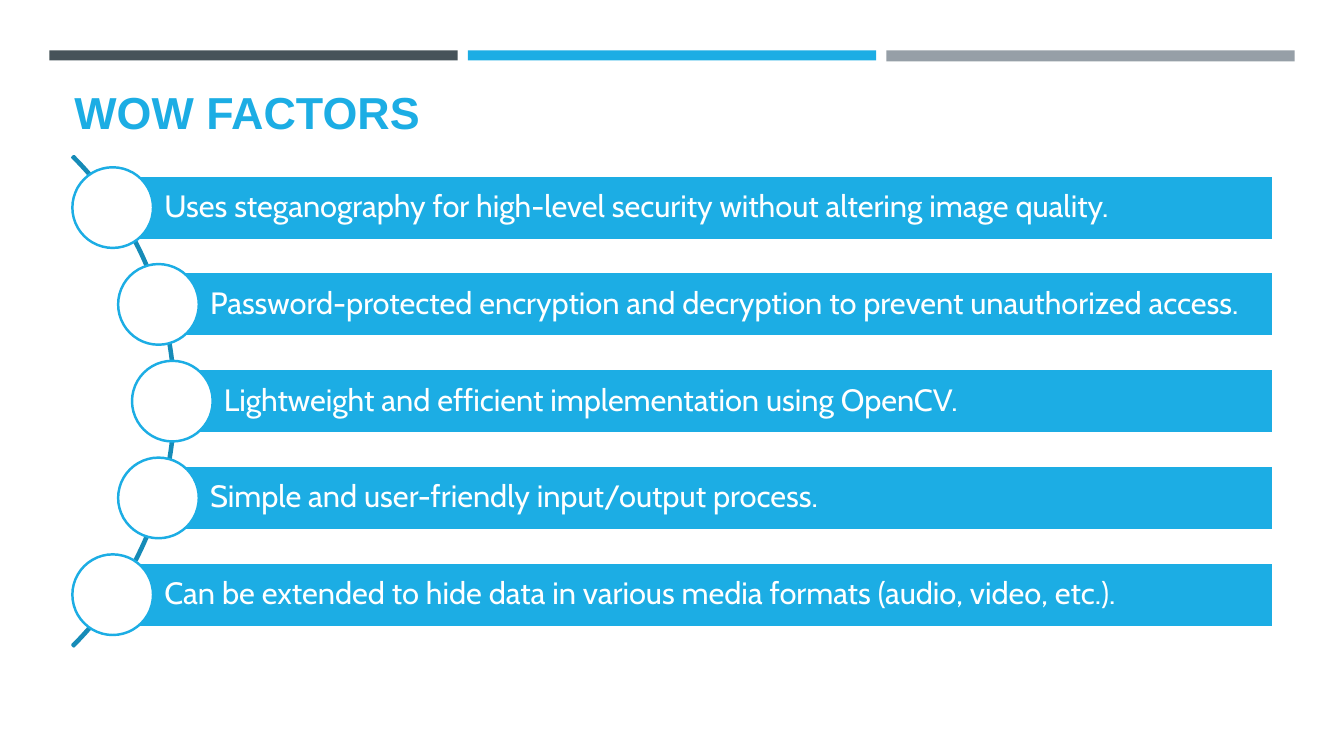
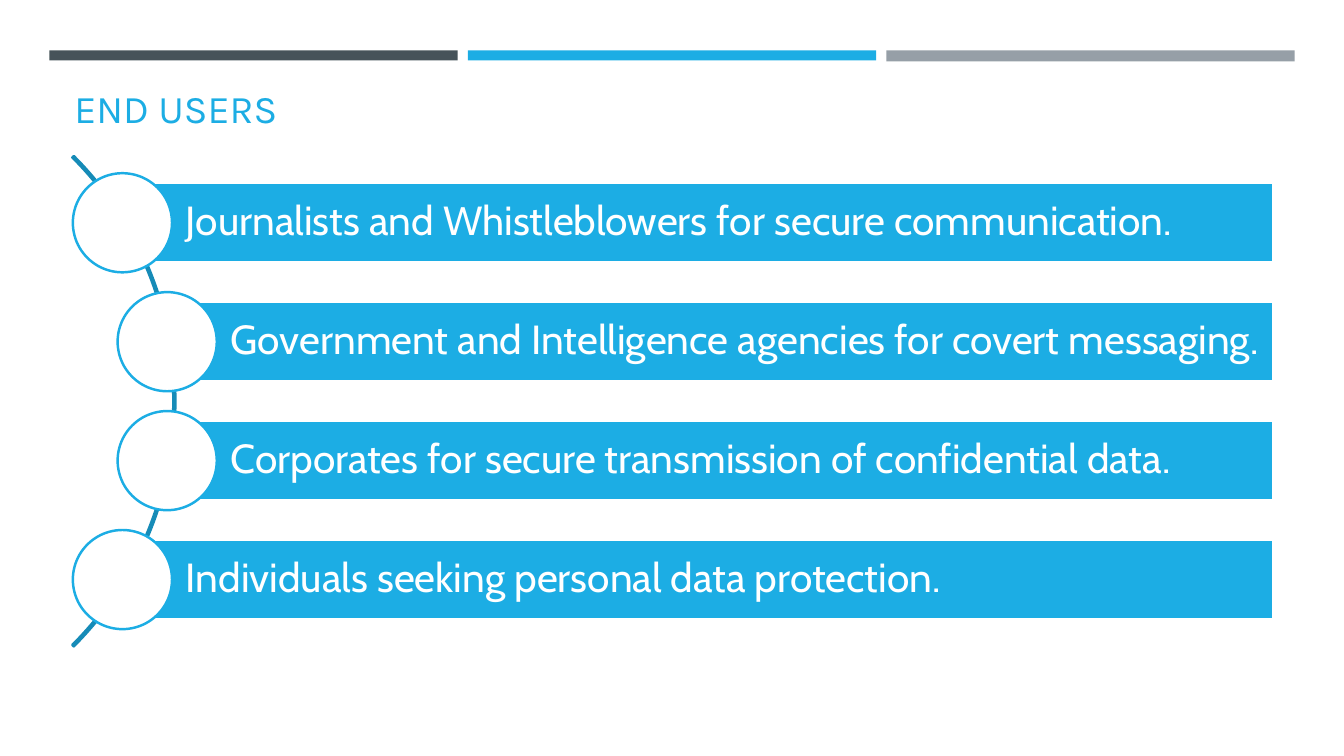
"""Build two slides whose bars and discs follow a curved spine."""
from dataclasses import dataclass
from math import sqrt

from pptx import Presentation
from pptx.dml.color import RGBColor
from pptx.enum.shapes import MSO_SHAPE
from pptx.enum.text import MSO_ANCHOR, PP_ALIGN
from pptx.util import Emu, Pt

RECT, DISC, ARC = MSO_SHAPE.RECTANGLE, MSO_SHAPE.OVAL, MSO_SHAPE.BLOCK_ARC
MIDDLE, BOTTOM, LEFT = MSO_ANCHOR.MIDDLE, MSO_ANCHOR.BOTTOM, PP_ALIGN.LEFT


@dataclass(frozen=True)
class Theme:
    blue: str = "1CADE4"
    deep: str = "168BB7"
    dark: str = "465359"
    gray: str = "969FA7"
    white: str = "FFFFFF"
    body: str = "Cabin"
    line: float = 1.75


T = Theme()
SLIDES = [
    {
        "title": "WOW FACTORS", "font": "Arial", "size": 32, "bold": True,
        "top": 84, "pitch": 96, "text": 22,
        "items": [
            "Uses steganography for high-level security without altering image quality.",
            "Password-protected encryption and decryption to prevent unauthorized access.",
            "Lightweight and efficient implementation using OpenCV.",
            "Simple and user-friendly input/output process.",
            "Can be extended to hide data in various media formats (audio, video, etc.).",
        ],
    },
    {
        "title": "END USERS", "font": "Karla", "size": 28, "bold": False,
        "top": 77, "pitch": 118, "text": 29,
        "items": [
            "Journalists and Whistleblowers for secure communication.",
            "Government and Intelligence agencies for covert messaging.",
            "Corporates for secure transmission of confidential data.",
            "Individuals seeking personal data protection.",
        ],
    },
]
BANDS = [(T.dark, 10), (T.blue, 10), (T.gray, 11)]
BAND_X, BAND_Y, BAND_W, BAND_STEP = 49, 50, 405, 415
ARC_X, ARC_Y, ARC_R, PATH_R = -170, 398, 344, 341
RIGHT = 1263


def px(n):
    return Emu(round(n * 9144))


def rgb(code):
    return RGBColor.from_string(code)


def shape(slide, kind, box, fill=None, line=None):
    item = slide.shapes.add_shape(kind, *map(px, box))
    item.shadow.inherit = False
    if fill:
        item.fill.solid()
        item.fill.fore_color.rgb = rgb(fill)
    else:
        item.fill.background()
    if line:
        item.line.color.rgb = rgb(line)
        item.line.width = Pt(T.line)
    else:
        item.line.fill.background()
    return item


def write(frame, text, font, size, color, bold=False):
    frame.word_wrap = True
    para = frame.paragraphs[0]
    para.alignment = LEFT
    run = para.add_run()
    run.text = text
    run.font.name, run.font.size, run.font.bold = font, Pt(size), bold
    run.font.color.rgb = rgb(color)
    return para


def header(slide, data):
    for i, (color, high) in enumerate(BANDS):
        shape(slide, RECT, (BAND_X + i * BAND_STEP, BAND_Y, BAND_W, high), color)
    box = slide.shapes.add_textbox(*map(px, (64, data["top"], 1206, 58)))
    box.text_frame.vertical_anchor = BOTTOM
    write(box.text_frame, data["title"], data["font"], data["size"], T.blue, data["bold"])


def spine(slide):
    arc = shape(slide, ARC, (ARC_X - ARC_R, ARC_Y - ARC_R, 2 * ARC_R, 2 * ARC_R), line=T.deep)
    for i, value in enumerate((189, 27, 0.003)):
        arc.adjustments[i] = value


def row(slide, text, size, y, pitch):
    x = ARC_X + sqrt(PATH_R ** 2 - (y - ARC_Y) ** 2)
    high = pitch * 2 / 3
    wide = high * 1.25
    bar = shape(slide, RECT, (x, y - high / 2, RIGHT - x, high), T.blue, T.white)
    frame = bar.text_frame
    frame.vertical_anchor = MIDDLE
    frame.margin_left = px(high * 0.8)
    frame.margin_right = frame.margin_top = frame.margin_bottom = px(high * 0.1)
    write(frame, text, T.body, size, T.white).line_spacing = 0.9
    shape(slide, DISC, (x - wide / 2, y - wide / 2, wide, wide), T.white, T.blue)


def main():
    deck = Presentation()
    deck.slide_width, deck.slide_height = px(1333), px(750)
    for data in SLIDES:
        slide = deck.slides.add_slide(deck.slide_layouts[6])
        header(slide, data)
        spine(slide)
        items, pitch = data["items"], data["pitch"]
        start = ARC_Y - pitch * (len(items) - 1) / 2
        for i, text in enumerate(items):
            row(slide, text, data["text"], start + i * pitch, pitch)
    deck.save("out.pptx")


if __name__ == "__main__":
    main()
